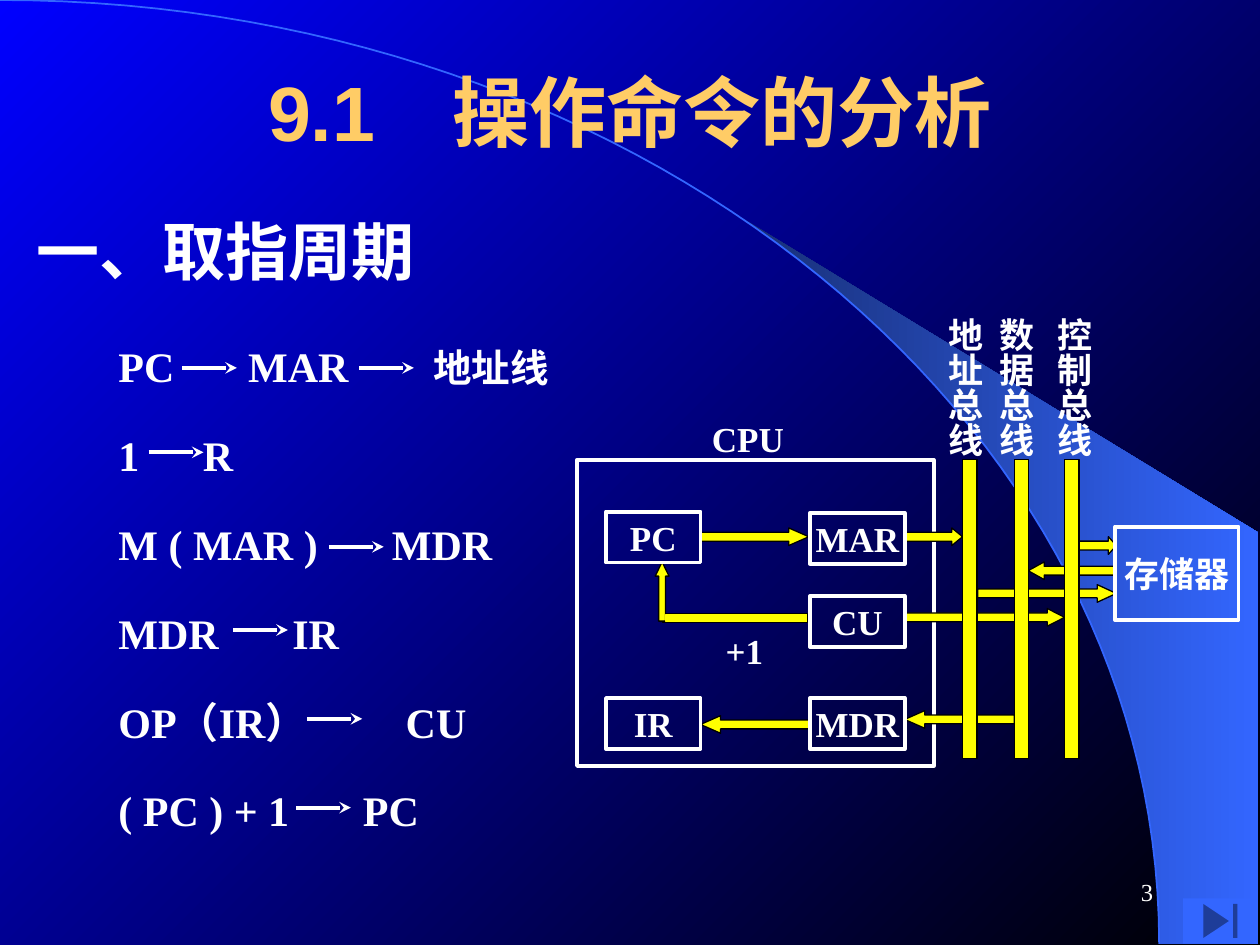
from lxml import etree
from pptx import Presentation
from pptx import util as u
from pptx.dml.color import RGBColor
from pptx.enum import shapes, text
from pptx.oxml import ns

COLUMNS, ROWS = 100, 75
WIDTH, HEIGHT = u.Inches(10), u.Inches(7.5)
WHITE = RGBColor(0xFF, 0xFF, 0xFF)
BLACK = RGBColor(0, 0, 0)
BLUE = RGBColor(0, 0, 0xFF)
SKY = RGBColor(0x33, 0x66, 0xFF)
NAVY = RGBColor(0x18, 0x2F, 0x76)
YELLOW = RGBColor(0xFF, 0xFF, 0)
GOLD = RGBColor(0xFF, 0xCC, 0x66)
SERIF, SANS = "Times New Roman", "Arial"
SHAPE = shapes.MSO_SHAPE
RIGHT, LEFT, UP = SHAPE.RIGHT_ARROW, SHAPE.LEFT_ARROW, SHAPE.UP_ARROW
ALIGN = text.PP_ALIGN

ROW_TOP, ROW_STEP, ROW_HEIGHT, ROW_LEFT = 26.7, 7.05, 4.7, 9.4
STEP_ARROW = 4.35
MICRO_STEPS = [
    ("PC\tMAR\t", "地址线", [10.3, 25], [14.45, 28.5], 0.15),
    ("1\tR", "", [6.7], [11.8], -0.2),
    ("M ( MAR )\tMDR", "", [21.7], [26.1], 0.25),
    ("MDR\tIR", "", [13.8], [18.5], -0.2),
    ("OP（IR）\tCU", "", [22.8], [24.4], -0.2),
    ("( PC ) + 1\tPC", "", [19.4], [23.5], -0.2),
]
FLOWS = [
    (RIGHT, 71.8, 41.9, 4.6, 1.4, 0.61),
    (RIGHT, 55.6, 41.9, 8.6, 1.4, 1.14),
    (LEFT, 71.8, 56.4, 8.7, 1.4, 1.14),
    (RIGHT, 71.8, 48.3, 12.7, 1.4, 0.98),
    (RIGHT, 77.6, 46.4, 11, 1.4, 1.08),
    (LEFT, 81.6, 44.6, 6.9, 1.4, 0.91),
    (RIGHT, 85.1, 42.6, 3.5, 1.4, 0.45),
    (LEFT, 55.6, 56.8, 8.6, 1.4, 1.14),
]
NODES = [
    ("PC", 48.1, 40.6, 7.5, 4.05),
    ("MAR", 64.3, 40.7, 7.5, 4.05),
    ("CU", 64.3, 47.3, 7.5, 4.05),
    ("IR", 48.1, 55.4, 7.5, 4.05),
    ("MDR", 64.3, 55.4, 7.5, 4.05),
    ("存储器", 88.5, 41.8, 9.8, 7.4),
]
BUSES = [("地址总线", 76.4, 73.4), ("数据总线", 80.5, 77.5), ("控制总线", 84.5, 82.1)]


def place(column, row):
    """Turn grid columns and rows into slide lengths."""
    return int(WIDTH * column / COLUMNS), int(HEIGHT * row / ROWS)


def write(shape, words, size, color=WHITE, name=SERIF, bold=True, align=ALIGN.LEFT,
          tail="", tail_size=22, wrap=True, margin=0, stops=()):
    """Fill a shape with one formatted paragraph and its tab stops."""
    frame = shape.text_frame
    frame.word_wrap = wrap
    frame.vertical_anchor = text.MSO_ANCHOR.MIDDLE
    frame.margin_left = frame.margin_right = u.Inches(margin)
    frame.margin_top = frame.margin_bottom = 0
    paragraph = frame.paragraphs[0]
    paragraph.text = words
    paragraph.alignment = align
    if stops:
        tabs = etree.SubElement(paragraph._p.get_or_add_pPr(), ns.qn("a:tabLst"))
        for stop in stops:
            etree.SubElement(tabs, ns.qn("a:tab"), pos=str(place(stop, 0)[0]), algn="l")
    if tail:
        paragraph.add_run().text = tail
    for index, run in enumerate(paragraph.runs):
        run.font.size = u.Pt(tail_size if index else size)
        run.font.name, run.font.bold, run.font.color.rgb = name, bold, color


def add_label(slide, words, box, size, **style):
    """Add a text box on the grid."""
    shape = slide.shapes.add_textbox(*place(*box[:2]), *place(*box[2:]))
    write(shape, words, size, **style)
    return shape


def add_block(slide, kind, box, fill=YELLOW, line=BLACK, weight=0.75):
    """Add a preset shape on the grid, hollow or lineless when asked."""
    shape = slide.shapes.add_shape(kind, *place(*box[:2]), *place(*box[2:]))
    shape.shadow.inherit = False
    if fill is None:
        shape.fill.background()
    else:
        shape.fill.solid()
        shape.fill.fore_color.rgb = fill
    if line is None:
        shape.line.fill.background()
    else:
        shape.line.color.rgb = line
        shape.line.width = u.Pt(weight)
    return shape


def add_arrow(slide, column, row):
    """Add a thin white arrow pointing right."""
    arrow = slide.shapes.add_connector(
        shapes.MSO_CONNECTOR.STRAIGHT, *place(column, row), *place(column + STEP_ARROW, row))
    arrow.line.color.rgb = WHITE
    arrow.line.width = u.Pt(2.25)
    properties = arrow._element.spPr
    etree.SubElement(properties.find(ns.qn("a:ln")), ns.qn("a:tailEnd"), type="stealth")
    etree.SubElement(properties, ns.qn("a:effectLst"))


def set_gradient(fill, colors, angle):
    """Apply a two-colour linear gradient."""
    fill.gradient()
    fill.gradient_angle = angle
    for stop, color in zip(fill.gradient_stops, colors):
        stop.color.rgb = color


def add_outline(slide, points, closed):
    """Draw a freeform through grid points."""
    corners = [place(*point) for point in points]
    builder = slide.shapes.build_freeform(*corners[0])
    builder.add_line_segments(corners[1:], close=closed)
    shape = builder.convert_to_shape()
    shape.shadow.inherit = False
    return shape


def add_backdrop(slide):
    """Paint the gradient, the lit wedge and the arc beside it."""
    set_gradient(slide.background.fill, (BLUE, BLACK), 315)
    steps = [index / 60 for index in range(61)]
    arc = [(3 * (1 - t) ** 2 * t * 50.8 + (3 * (1 - t) + t) * t ** 2 * 92,
            3 * (1 - t) * t ** 2 * 33.5 + t ** 3 * 74.9) for t in steps]
    edge = [point for point in arc if point[0] > 58.9]
    wedge = add_outline(slide, [(99.9, 74.9), (99.9, 42.3), (58.9, 17.3)] + edge, True)
    set_gradient(wedge.fill, (NAVY, SKY), 0)
    wedge.line.fill.background()
    curve = add_outline(slide, arc, False)
    curve.fill.background()
    curve.line.color.rgb = SKY
    curve.line.width = u.Pt(1)


def add_micro_steps(slide):
    """List the register transfers with their arrows."""
    for index, (words, tail, stops, arrows, shift) in enumerate(MICRO_STEPS):
        top = ROW_TOP + index * ROW_STEP
        add_label(slide, words, (ROW_LEFT, top, 47.2, ROW_HEIGHT), 24, tail=tail, stops=stops)
        for column in arrows:
            add_arrow(slide, column, top + ROW_HEIGHT / 2 + shift)


def add_data_path(slide):
    """Draw the processor, buses, memory and the flows between them."""
    add_block(slide, SHAPE.RECTANGLE, (45.8, 36.5, 28.3, 24.3), None, WHITE, 2.25)
    add_block(slide, SHAPE.RECTANGLE, (52.6, 48.7, 11.5, 0.7))
    add_block(slide, UP, (52, 44.6, 1.1, 4.7)).adjustments[1] = 1.03
    add_block(slide, SHAPE.RECTANGLE, (52.8, 48.8, 0.3, 0.5), YELLOW, YELLOW)
    for kind, left, top, width, height, head in FLOWS:
        add_block(slide, kind, (left, top, width, height)).adjustments[1] = head
    for words, *box in NODES:
        node = add_block(slide, SHAPE.RECTANGLE, box, None, WHITE, 2.25)
        write(node, words, 20, align=ALIGN.CENTER, wrap=False)
    for words, left, label_left in BUSES:
        add_block(slide, SHAPE.RECTANGLE, (left, 36.5, 1.15, 23.7))
        label = add_label(slide, words, (label_left, 24.2, 5.3, 12.2), 20, wrap=False, margin=0.05)
        frame = label.text_frame
        frame.vertical_anchor = text.MSO_ANCHOR.TOP
        frame.margin_top = frame.margin_bottom = u.Inches(0.1)
        frame._txBody.bodyPr.set("vert", "eaVert")
    add_label(slide, "CPU", (56.5, 32.6, 7.7, 4.4), 20)
    add_label(slide, "+1", (57.6, 49.4, 6, 4.4), 20)


def main():
    """Build the slide and save it."""
    presentation = Presentation()
    presentation.slide_width, presentation.slide_height = WIDTH, HEIGHT
    slide = presentation.slides.add_slide(presentation.slide_layouts[6])
    add_backdrop(slide)
    add_label(slide, "9.1　操作命令的分析", (7.5, 2.5, 85, 12.5), 44,
              color=GOLD, name=SANS, align=ALIGN.CENTER, margin=0.1)
    add_label(slide, "一、取指周期", (2.9, 17.5, 44.6, 4.7), 36)
    add_micro_steps(slide)
    add_data_path(slide)
    add_block(slide, SHAPE.ACTION_BUTTON_END, (93.9, 71.3, 5.9, 3.6), SKY, None)
    add_label(slide, "3", (71.7, 68.3, 20.8, 5), 14, bold=False, align=ALIGN.RIGHT, margin=0.1)
    presentation.save("out.pptx")


if __name__ == "__main__":
    main()
